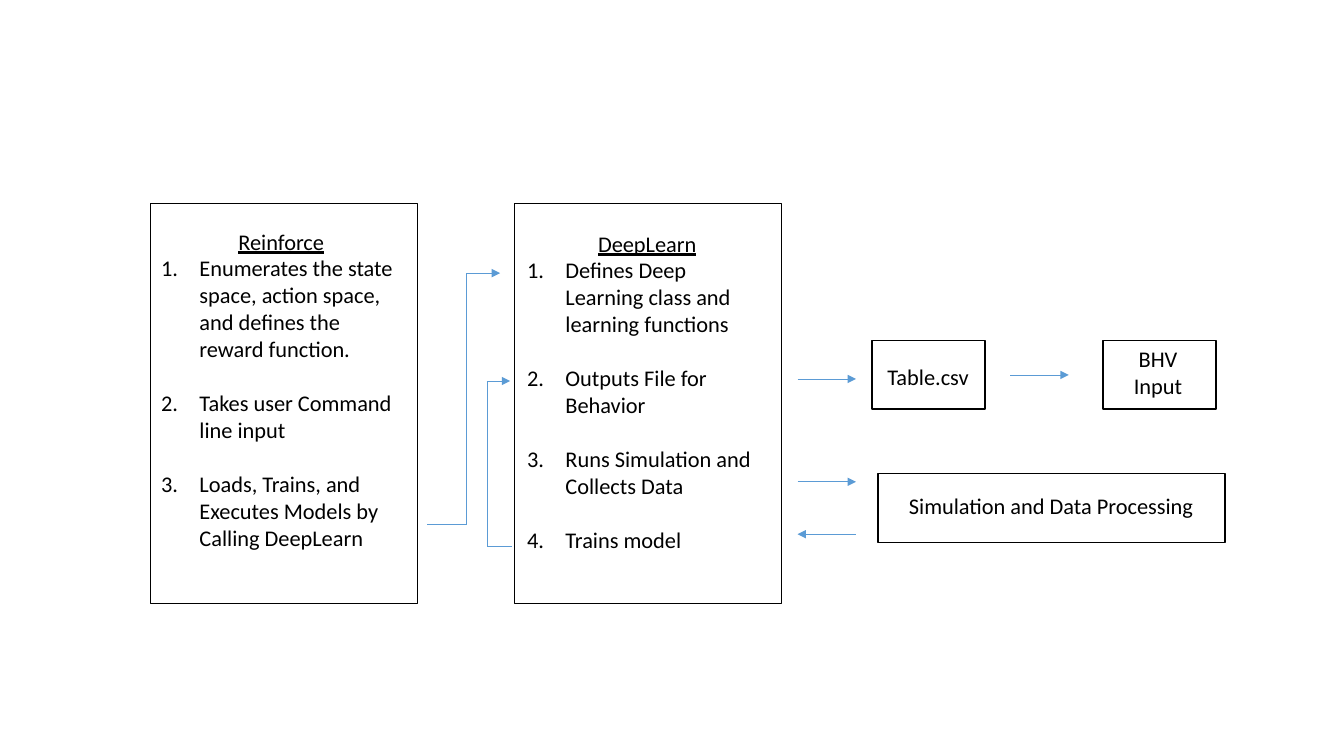
from dataclasses import dataclass
from itertools import pairwise
from typing import Any

from pptx import Presentation
from pptx.dml.color import RGBColor
from pptx.enum import shapes, text
from pptx import util as u
from pptx.oxml import ns, xmlchemy

PX = 9144  # EMU per px, 100 px to the inch
BLACK = RGBColor(0x00, 0x00, 0x00)
WHITE = RGBColor(0xFF, 0xFF, 0xFF)
BLUE = RGBColor(0x5B, 0x9B, 0xD5)
FONT = {"name": "Calibri", "size": u.Pt(16)}
FRAME = {"word_wrap": True, "auto_size": text.MSO_AUTO_SIZE.NONE}
INDENT = 38 * PX
ITEM_GAP = u.Pt(19.5)

Area = tuple[int, int, int, int]
Point = tuple[int, int]


@dataclass(frozen=True)
class Block:
    frame: Area
    label: Area
    heading: str
    steps: tuple[str, ...] = ()


@dataclass(frozen=True)
class Flow:
    points: tuple[Point, ...]


BLOCKS = (
    Block((149, 202, 265, 397), (150, 221, 258, 370), "Reinforce", (
        "Enumerates the state space, action space, and defines the reward function.",
        "Takes user Command line input",
        "Loads, Trains, and Executes Models by Calling DeepLearn",
    )),
    Block((510, 202, 265, 397), (513, 223, 258, 370), "DeepLearn", (
        "Defines Deep Learning class and learning functions",
        "Outputs File for Behavior",
        "Runs Simulation and Collects Data",
        "Trains model",
    )),
    Block((865, 338, 112, 68), (863, 355, 115, 37), "Table.csv"),
    Block((1094, 338, 112, 68), (1094, 338, 109, 64), "BHV Input"),
    Block((871, 470, 344, 68), (875, 483, 335, 37), "Simulation and Data Processing"),
)

FLOWS = (
    Flow(((424, 520), (463, 520), (463, 271), (496, 271))),  # Reinforce to DeepLearn
    Flow(((508, 542), (483, 542), (483, 378), (506, 378))),  # training loop
    Flow(((791, 376), (849, 376))),
    Flow(((1002, 372), (1060, 372))),
    Flow(((791, 478), (849, 478))),
    Flow(((849, 530), (791, 530))),
)


def apply(target: Any, values: dict[str, Any]) -> None:
    for name, value in values.items():
        setattr(target, name, value)


def scaled(*lengths: int) -> list[int]:
    return [length * PX for length in lengths]


def add_child(parent: Any, tag: str, **attributes: str) -> None:
    child = xmlchemy.OxmlElement(tag)
    for name, value in attributes.items():
        child.set(name, value)
    parent.append(child)


def write(para: Any, words: str, underline: bool = False) -> None:
    span = para.add_run()
    span.text = words
    apply(span.font, FONT | {"underline": underline})
    span.font.color.rgb = BLACK


def draw_block(page: Any, block: Block) -> None:
    # Outlined rectangle
    box = page.shapes.add_shape(shapes.MSO_SHAPE.RECTANGLE, *scaled(*block.frame))
    box.shadow.inherit = False
    box.fill.solid()
    box.fill.fore_color.rgb = WHITE
    box.line.color.rgb = BLACK
    box.line.width = u.Pt(1)

    # Centred heading
    frame = page.shapes.add_textbox(*scaled(*block.label)).text_frame
    apply(frame, FRAME)
    para = frame.paragraphs[0]
    para.alignment = text.PP_ALIGN.CENTER
    write(para, block.heading, underline=bool(block.steps))

    # Numbered steps
    for index, step in enumerate(block.steps):
        para = frame.add_paragraph()
        para.space_before = ITEM_GAP if index else u.Pt(0)
        props = para._p.get_or_add_pPr()
        props.set("marL", str(INDENT))
        props.set("indent", str(-INDENT))
        add_child(props, "a:buFont", typeface="+mj-lt")
        add_child(props, "a:buAutoNum", type="arabicPeriod")
        write(para, step)


def draw_flow(page: Any, flow: Flow) -> None:
    for start, end in pairwise(flow.points):
        leg = page.shapes.add_connector(
            shapes.MSO_CONNECTOR.STRAIGHT, *scaled(*start, *end))
        leg.line.color.rgb = BLUE
        leg.line.width = u.Pt(0.5)
        if end == flow.points[-1]:
            line = leg._element.spPr.find(ns.qn("a:ln"))
            add_child(line, "a:tailEnd", type="triangle")
        add_child(leg._element.spPr, "a:effectLst")


def main() -> None:
    deck = Presentation()
    apply(deck, {"slide_width": u.Inches(13.33), "slide_height": u.Inches(7.5)})
    page = deck.slides.add_slide(deck.slide_layouts[6])
    for block in BLOCKS:
        draw_block(page, block)
    for flow in FLOWS:
        draw_flow(page, flow)
    deck.save("out.pptx")


if __name__ == "__main__":
    main()
